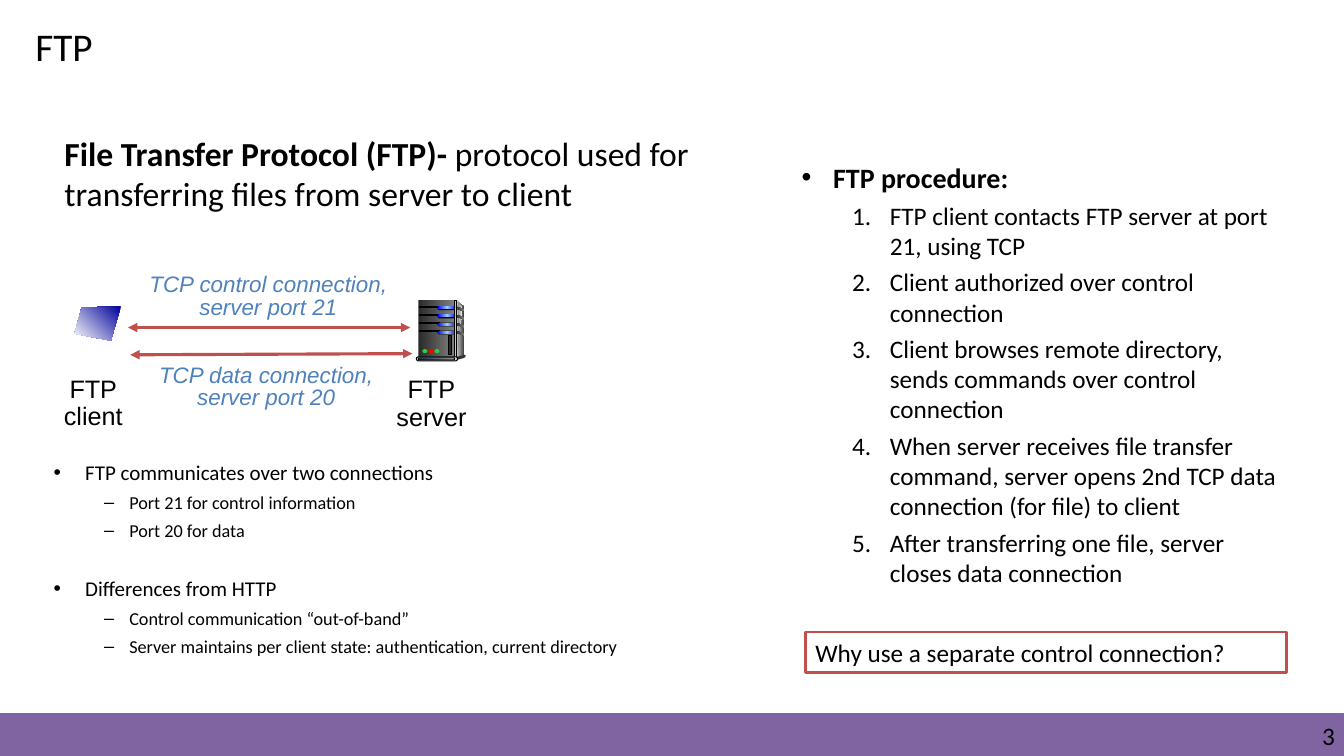
import pptx
import pptx.util
import pptx.oxml
import pptx.oxml.ns
import pptx.dml.color
import pptx.enum.shapes
import pptx.enum.text

RGBColor = pptx.dml.color.RGBColor
Shape = pptx.enum.shapes.MSO_SHAPE
Align = pptx.enum.text.PP_ALIGN
Anchor = pptx.enum.text.MSO_ANCHOR

WIDTH, HEIGHT = pptx.util.Inches(13.33), pptx.util.Inches(7.5)
COLUMNS, ROWS = 160, 90

BLACK = RGBColor(0x00, 0x00, 0x00)
WHITE = RGBColor(0xFF, 0xFF, 0xFF)
PURPLE = RGBColor(0x80, 0x64, 0xA2)
RED = RGBColor(0xC0, 0x50, 0x4D)
BLUE = RGBColor(0x4F, 0x81, 0xBD)
NAVY = RGBColor(0x00, 0x00, 0x99)
LAMP_BLUE = RGBColor(0x00, 0x00, 0xFF)
LAMP_GLOW = RGBColor(0x99, 0xCC, 0xFF)
LIGHT_GREEN = RGBColor(0x33, 0xCC, 0x33)
LIGHT_RED = RGBColor(0xFF, 0x00, 0x00)
SOOT = RGBColor(0x29, 0x29, 0x29)
DARK = RGBColor(0x33, 0x33, 0x33)
GREY = RGBColor(0x80, 0x80, 0x80)
SILVER = RGBColor(0xDD, 0xDD, 0xDD)
PALE = RGBColor(0xF8, 0xF8, 0xF8)
BASE_BLUE = RGBColor(0x1F, 0x49, 0x7D)
BASE_CREAM = RGBColor(0xEE, 0xEC, 0xE1)

# Bullet, left margin and indent in columns, space before in points
DOT = ("•", 4.5, -3.75, 4.8)
DASH = ("–", 9.75, -3, 4.4)
NUMBER = (None, 11.25, -4.5, 4.4)

CONNECTION_LIST = [
    ("FTP communicates over two connections", 0, DOT, 15),
    ("Port 21 for control information", 1, DASH, 13),
    ("Port 20 for data", 1, DASH, 13),
    ("Differences from HTTP", 0, DOT, 15),
    ("Control communication “out-of-band”", 1, DASH, 13),
    ("Server maintains per client state: authentication, current directory", 1, DASH, 13),
]
PROCEDURE_LIST = [("FTP procedure:", 0, DOT, 20)] + [
    (step, 1, NUMBER, 18) for step in (
        "FTP client contacts FTP server at port 21, using TCP",
        "Client authorized over control connection",
        "Client browses remote directory, sends commands over control connection",
        "When server receives file transfer command, server opens 2nd TCP data "
        "connection (for file) to client",
        "After transferring one file, server closes data connection",
    )
]


def across(columns):
    return round(WIDTH * columns / COLUMNS)


def down(rows):
    return round(HEIGHT * rows / ROWS)


def grid_box(left, top, width, height):
    return across(left), down(top), across(width), down(height)


def place(shape, *box):
    shape.left, shape.top, shape.width, shape.height = grid_box(*box)


def add_xml(parent, tag, **attributes):
    child = pptx.oxml.ns.qn(tag)
    element = parent.makeelement(child, attributes)
    parent.append(element)
    return element


def paint(shape, fill, line=None, line_width=0.75, angle=0):
    """Fill with one colour or a tuple of gradient colours, angle clockwise."""
    shape.shadow.inherit = False
    if isinstance(fill, RGBColor):
        shape.fill.solid()
        shape.fill.fore_color.rgb = fill
    else:
        shape.fill.gradient()
        gradient = shape._element.spPr.find(pptx.oxml.ns.qn("a:gradFill"))
        for child in list(gradient):
            gradient.remove(child)
        stops = add_xml(gradient, "a:gsLst")
        for index, colour in enumerate(fill):
            position = round(100000 * index / (len(fill) - 1))
            stop = add_xml(stops, "a:gs", pos=str(position))
            add_xml(stop, "a:srgbClr", val=str(colour))
        add_xml(gradient, "a:lin", ang=str(angle * 60000), scaled="0")
    if line is None:
        shape.line.fill.background()
    else:
        shape.line.color.rgb = line
        shape.line.width = pptx.util.Pt(line_width)
    return shape


def add_block(slide, kind, box, fill, line=None, line_width=0.75):
    shape = slide.shapes.add_shape(kind, *grid_box(*box))
    if kind == Shape.ROUNDED_RECTANGLE:
        shape.adjustments[0] = 0.5
    return paint(shape, fill, line, line_width)


def add_outline(slide, points, fill, angle=0):
    corners = [(across(x), down(y)) for x, y in points]
    builder = slide.shapes.build_freeform(*corners[0])
    builder.add_line_segments(corners[1:], close=True)
    return paint(builder.convert_to_shape(), fill, angle=angle)


def format_runs(paragraph, size, colour=BLACK, font="Calibri", bold=False, italic=False):
    for run in paragraph.runs:
        run.font.size = pptx.util.Pt(size)
        run.font.name = font
        run.font.color.rgb = colour
        run.font.bold, run.font.italic = bold, italic


def add_text(slide, box, text, size, align=Align.LEFT):
    text_box = slide.shapes.add_textbox(*grid_box(*box))
    frame = text_box.text_frame
    frame.word_wrap = True
    frame.text = text
    for paragraph in frame.paragraphs:
        paragraph.alignment = align
        format_runs(paragraph, size)
    return frame


def add_label(slide, box, text, size, spacing, colour=BLACK, italic=False):
    frame = add_text(slide, box, text, size, Align.CENTER)
    frame.word_wrap = False
    for paragraph in frame.paragraphs:
        paragraph.line_spacing = spacing
        format_runs(paragraph, size, colour, "Arial", italic=italic)


def fill_list(placeholder, box, items):
    place(placeholder, *box)
    frame = placeholder.text_frame
    frame.auto_size = pptx.enum.text.MSO_AUTO_SIZE.NONE
    frame.text = "\n".join(item[0] for item in items)
    for paragraph, (_, level, style, size) in zip(frame.paragraphs, items):
        bullet, margin, indent, space = style
        paragraph.level = level
        paragraph.space_before = pptx.util.Pt(space)
        format_runs(paragraph, size)
        properties = paragraph._p.get_or_add_pPr()
        properties.set("marL", str(across(margin)))
        properties.set("indent", str(across(indent)))
        if bullet:
            add_xml(properties, "a:buFont", typeface="Arial")
            add_xml(properties, "a:buChar", char=bullet)
        else:
            add_xml(properties, "a:buFont", typeface="+mj-lt")
            add_xml(properties, "a:buAutoNum", type="arabicPeriod")
    return frame


def add_double_arrow(slide, start, end):
    arrow = slide.shapes.add_connector(
        pptx.enum.shapes.MSO_CONNECTOR.STRAIGHT,
        across(start[0]), down(start[1]), across(end[0]), down(end[1]))
    arrow.line.color.rgb = RED
    arrow.line.width = pptx.util.Pt(2.25)
    line = arrow.line._get_or_add_ln()
    add_xml(line, "a:headEnd", type="triangle")
    add_xml(line, "a:tailEnd", type="triangle")
    add_xml(arrow._element.spPr, "a:effectLst")


def add_server(slide):
    pill = Shape.ROUNDED_RECTANGLE
    add_outline(slide, [(54.36, 35.76), (55.32, 36.6), (55.32, 42.24), (54.24, 42.6)],
                (SILVER, DARK))
    add_block(slide, Shape.RECTANGLE, (49.8, 35.76, 4.32, 6.84), (SOOT, GREY))
    add_outline(slide, [(54.48, 36.12), (55.08, 36.72), (54.6, 40), (54.48, 42.36)],
                (GREY, PALE))
    for bay in range(4):
        top = 36.48 + 0.96 * bay
        add_block(slide, Shape.RECTANGLE, (49.92, top, 2.4, 0.12), BLACK, BLACK)
        add_block(slide, pill, (52.08, top, 2.4, 0.45), BLACK)
        add_block(slide, pill, (52.1, top, 2.28, 0.36), (LAMP_BLUE, LAMP_GLOW, LAMP_BLUE))
        add_outline(slide, [(54.24, top), (55.32, top + 0.36), (55.32, top + 0.6),
                            (54.24, top + 0.24)], (SOOT, GREY))
    add_block(slide, Shape.RECTANGLE, (54.12, 35.76, 0.24, 6.84), (DARK, SILVER, DARK), BLACK)
    add_block(slide, Shape.OVAL, (55.2, 42.24, 0.24, 0.24), DARK)
    add_outline(slide, [(54.36, 42.48), (54.36, 42.84), (55.32, 42.6), (55.32, 42.24)], DARK)
    add_block(slide, pill, (49.56, 42.48, 4.92, 0.48), SILVER, BLACK)
    add_block(slide, pill, (49.8, 42.6, 4.32, 0.24), (BASE_BLUE, BASE_CREAM), BLACK)
    for index, colour in enumerate((LIGHT_GREEN, LIGHT_RED, LIGHT_GREEN)):
        add_block(slide, Shape.OVAL, (50.28 + 0.72 * index, 41.56, 0.6, 0.48), colour)
    add_block(slide, Shape.RECTANGLE, (53.4, 39.96, 0.36, 2.28), SOOT, BLACK)


def add_connection_diagram(slide):
    add_label(slide, (6.36, 44.2, 9.5, 7.8), "FTP\nclient", 18, 0.9)
    add_label(slide, (45.96, 44.3, 10.8, 7.8), "FTP\nserver", 18, 0.9)
    add_double_arrow(slide, (15.24, 39), (48.84, 39))
    add_double_arrow(slide, (15.5, 42.24), (49.1, 42.1))
    add_label(slide, (16.1, 32.04, 31.7, 6.7), "TCP control connection,\nserver port 21",
              16, 0.85, BLUE, True)
    add_label(slide, (15.84, 42.84, 31.7, 6.7), "TCP data connection,\nserver port 20",
              16, 0.85, BLUE, True)
    add_server(slide)
    add_outline(slide, [(14.4, 36.48), (9.72, 36.6), (8.88, 39.72), (13.2, 40.56)],
                (NAVY, WHITE), angle=135)


def main():
    presentation = pptx.Presentation()
    presentation.slide_width, presentation.slide_height = WIDTH, HEIGHT
    slide = presentation.slides.add_slide(presentation.slide_layouts[3])
    title, connections, procedure = slide.placeholders

    place(title, 3, 2, 11.3, 6.8)
    title.text_frame.text = "FTP"
    title.text_frame.word_wrap = False
    title.text_frame.vertical_anchor = Anchor.TOP
    title.text_frame.paragraphs[0].alignment = Align.LEFT
    format_runs(title.text_frame.paragraphs[0], 28)

    frame = fill_list(connections, (4.44, 54.12, 75.6, 28.2), CONNECTION_LIST)
    frame.paragraphs[3].space_before = pptx.util.Pt(25)
    frame = fill_list(procedure, (93.48, 18.48, 59.76, 63.36), PROCEDURE_LIST)
    frame.paragraphs[0].runs[0].font.bold = True

    add_block(slide, Shape.RECTANGLE, (0, 85, COLUMNS, 5), PURPLE, PURPLE)
    add_text(slide, (122, 85.8, 36.9, 3.6), "3", 18, Align.RIGHT)
    number = slide.shapes[-1].text_frame
    number.margin_left = number.margin_right = number.margin_top = number.margin_bottom = 0

    definition = add_text(slide, (6.5, 15.2, 84, 10.9), "File Transfer Protocol (FTP)- ", 24)
    definition.paragraphs[0].add_run().text = (
        "protocol used for transferring files from server to client")
    format_runs(definition.paragraphs[0], 24)
    definition.paragraphs[0].runs[0].font.bold = True

    add_connection_diagram(slide)

    question = add_block(slide, Shape.RECTANGLE, (95.88, 75.24, 57.24, 4.8), WHITE, RED, 2)
    question.text_frame.text = "Why use a separate control connection?"
    question.text_frame.paragraphs[0].alignment = Align.LEFT
    format_runs(question.text_frame.paragraphs[0], 18)

    presentation.save("out.pptx")


if __name__ == "__main__":
    main()
